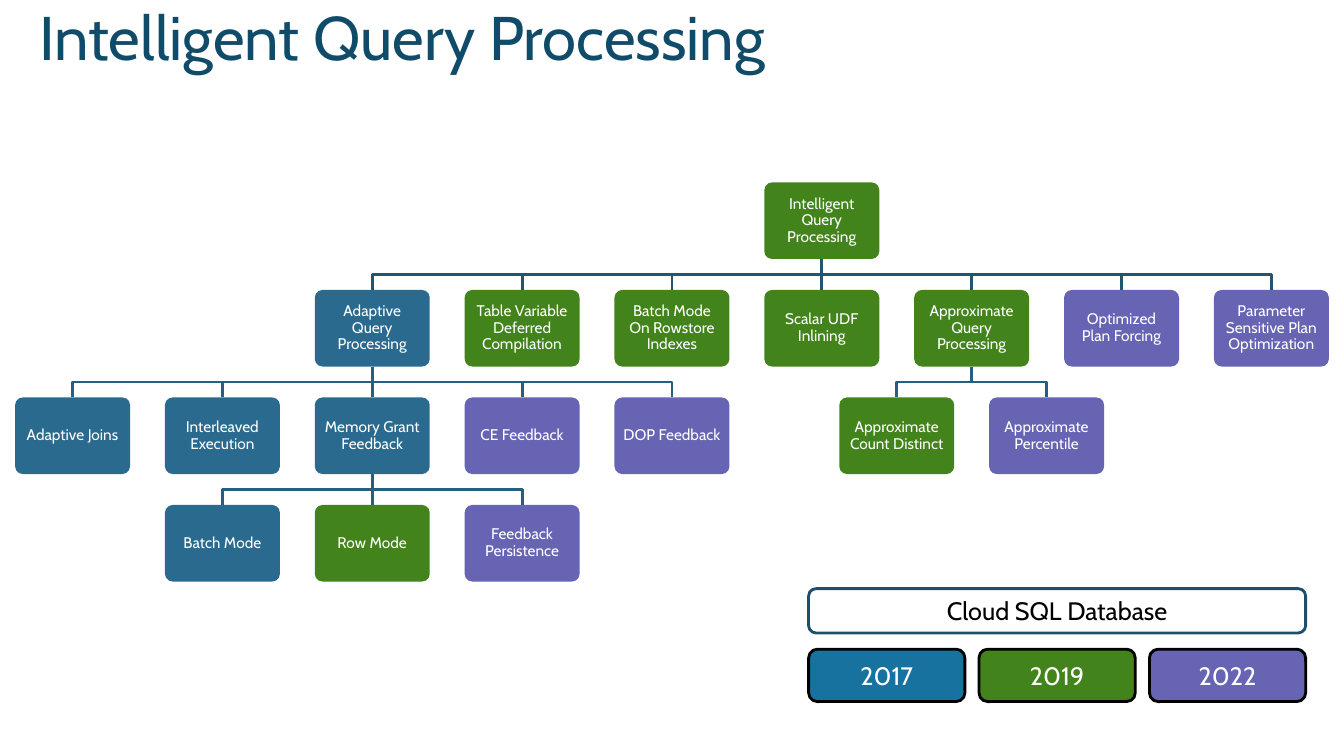
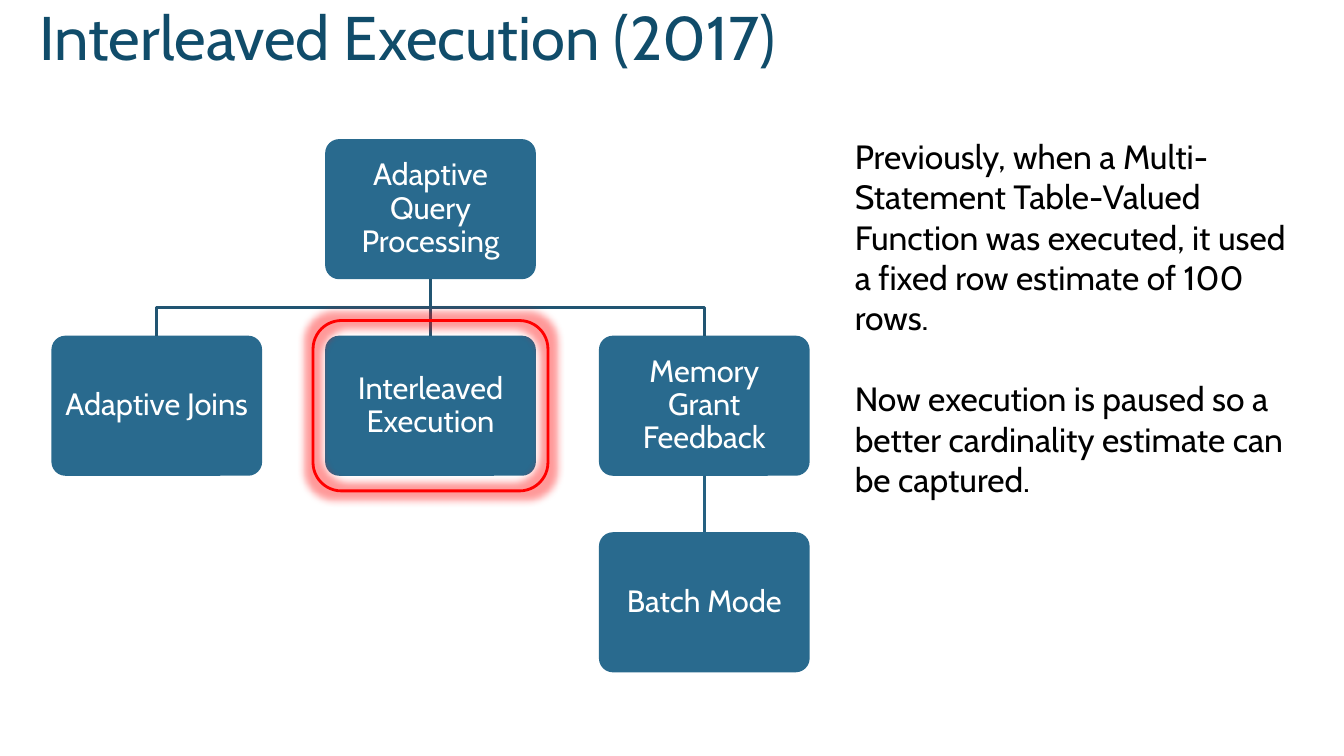
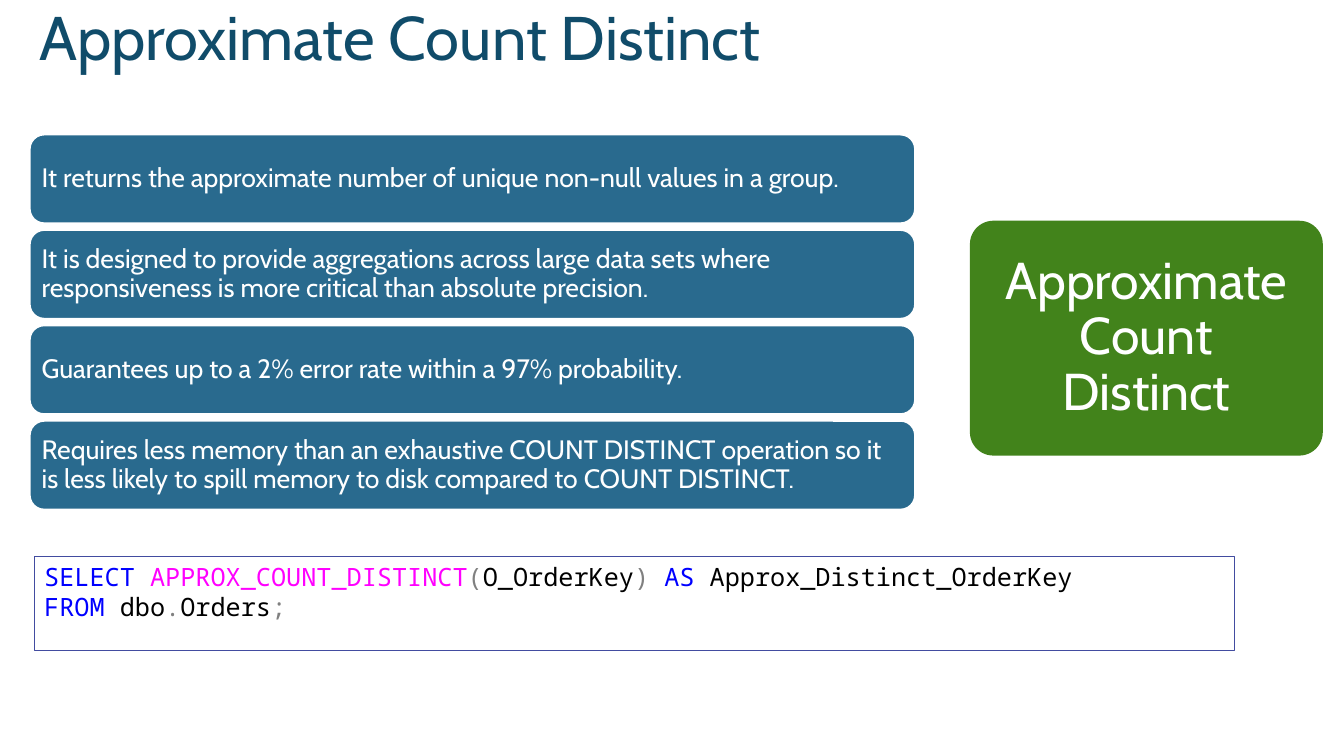
from dataclasses import dataclass
from typing import NamedTuple, Optional

from lxml import etree
from pptx import Presentation
from pptx import util as u
from pptx.dml.color import RGBColor
from pptx.enum import shapes, text
from pptx.oxml.ns import qn

COLOURS = {
    "title": "104C6A", "white": "FFFFFF", "black": "000000",
    "2017": "296A8E", "2019": "42831B", "2022": "6664B3",
    "legend 2017": "1872A0", "database": "1E4E69",
    "top link": "215572", "lower link": "256081",
    "highlight": "FF0000", "code frame": "424CA0",
    "keyword": "0000FF", "function": "FF00FF", "symbol": "808080",
}
FONT, CODE_FONT = "Cabin", "Noto Sans Mono"
LINE_WIDTH = 2
ROUNDED, RECTANGLE = shapes.MSO_SHAPE.ROUNDED_RECTANGLE, shapes.MSO_SHAPE.RECTANGLE
LEFT, CENTER = text.PP_ALIGN.LEFT, text.PP_ALIGN.CENTER


class Box(NamedTuple):
    """A rectangle in inches."""
    left: float
    top: float
    width: float
    height: float

    def emu(self) -> list:
        return [u.Inches(length) for length in self]

    def grown(self, across: float, down: float) -> "Box":
        return Box(self.left - across, self.top - down,
                   self.width + 2 * across, self.height + 2 * down)


@dataclass(frozen=True)
class Grid:
    """Equal cells spread evenly over an area."""
    area: Box
    columns: int
    rows: int
    cell_width: float
    cell_height: float

    def cell(self, column: float, row: float) -> Box:
        across = (self.area.width - self.cell_width) / max(1, self.columns - 1)
        down = (self.area.height - self.cell_height) / max(1, self.rows - 1)
        return Box(self.area.left + column * across, self.area.top + row * down,
                   self.cell_width, self.cell_height)


@dataclass(frozen=True)
class Node:
    label: str
    column: float
    row: int
    colour: str
    parent: Optional[str] = None


@dataclass(frozen=True)
class Label:
    """How the text of a box is set."""
    size: float
    inset: float = 0.1
    colour: str = "white"
    align: int = CENTER
    line_spacing: float = 1.0


FEATURE_GRID = Grid(Box(0.15, 1.81, 13.03, 3.96), 9, 4, 1.14, 0.76)
FEATURES = [
    Node("Intelligent Query Processing", 5, 0, "2019"),
    Node("Adaptive Query Processing", 2, 1, "2017", "Intelligent Query Processing"),
    Node("Table Variable Deferred Compilation", 3, 1, "2019", "Intelligent Query Processing"),
    Node("Batch Mode On Rowstore Indexes", 4, 1, "2019", "Intelligent Query Processing"),
    Node("Scalar UDF Inlining", 5, 1, "2019", "Intelligent Query Processing"),
    Node("Approximate Query Processing", 6, 1, "2019", "Intelligent Query Processing"),
    Node("Optimized Plan Forcing", 7, 1, "2022", "Intelligent Query Processing"),
    Node("Parameter Sensitive Plan Optimization", 8, 1, "2022", "Intelligent Query Processing"),
    Node("Adaptive Joins", 0, 2, "2017", "Adaptive Query Processing"),
    Node("Interleaved Execution", 1, 2, "2017", "Adaptive Query Processing"),
    Node("Memory Grant Feedback", 2, 2, "2017", "Adaptive Query Processing"),
    Node("CE Feedback", 3, 2, "2022", "Adaptive Query Processing"),
    Node("DOP Feedback", 4, 2, "2022", "Adaptive Query Processing"),
    Node("Approximate Count Distinct", 5.5, 2, "2019", "Approximate Query Processing"),
    Node("Approximate Percentile", 6.5, 2, "2022", "Approximate Query Processing"),
    Node("Batch Mode", 1, 3, "2017", "Memory Grant Feedback"),
    Node("Row Mode", 2, 3, "2019", "Memory Grant Feedback"),
    Node("Feedback Persistence", 3, 3, "2022", "Memory Grant Feedback"),
]
LEGEND_GRID = Grid(Box(8.02, 6.44, 4.93, 0.52), 3, 1, 1.55, 0.52)
LEGEND = [("2017", "legend 2017"), ("2019", "2019"), ("2022", "2022")]

ADAPTIVE_GRID = Grid(Box(0.51, 1.38, 7.52, 5.29), 3, 3, 2.09, 1.39)
ADAPTIVE = [
    Node("Adaptive Query Processing", 1, 0, "2017"),
    Node("Adaptive Joins", 0, 1, "2017", "Adaptive Query Processing"),
    Node("Interleaved Execution", 1, 1, "2017", "Adaptive Query Processing"),
    Node("Memory Grant Feedback", 2, 1, "2017", "Adaptive Query Processing"),
    Node("Batch Mode", 2, 2, "2017", "Memory Grant Feedback"),
]
EXPLANATION = [
    "Previously, when a Multi-Statement Table-Valued Function was executed, "
    "it used a fixed row estimate of 100 rows.",
    "Now execution is paused so a better cardinality estimate can be captured.",
]

FACT_GRID = Grid(Box(0.29, 1.33, 8.79, 3.73), 1, 4, 8.79, 0.89)
FACTS = [
    "It returns the approximate number of unique non-null values in a group.",
    "It is designed to provide aggregations across large data sets where "
    "responsiveness is more critical than absolute precision.",
    "Guarantees up to a 2% error rate within a 97% probability.",
    "Requires less memory than an exhaustive COUNT DISTINCT operation so it is "
    "less likely to spill memory to disk compared to COUNT DISTINCT.",
]
CODE = [
    [("SELECT ", "keyword"), ("APPROX_COUNT_DISTINCT", "function"), ("(", "symbol"),
     ("O_OrderKey", "black"), (") ", "symbol"), ("AS ", "keyword"),
     ("Approx_Distinct_OrderKey", "black")],
    [("FROM ", "keyword"), ("dbo", "black"), (".", "symbol"), ("Orders", "black"),
     (";", "symbol")],
]


def rgb(name: str) -> RGBColor:
    return RGBColor.from_string(COLOURS[name])


def set_font(paragraph, size: float, colour: str, name: str = FONT) -> None:
    paragraph.font.name = name
    paragraph.font.size = u.Pt(size)
    paragraph.font.color.rgb = rgb(colour)


def set_line(shape, colour: str, width: float = LINE_WIDTH) -> None:
    shape.line.color.rgb = rgb(colour)
    shape.line.width = u.Pt(width)


def add_titled_slide(presentation, heading: str):
    slide = presentation.slides.add_slide(presentation.slide_layouts[5])
    title = slide.shapes.title
    title.left, title.top, title.width, title.height = Box(0.29, 0.19, 12, 1.25).emu()
    frame = title.text_frame
    frame.text = heading
    frame.auto_size = text.MSO_AUTO_SIZE.NONE
    frame.vertical_anchor = text.MSO_ANCHOR.TOP
    paragraph = frame.paragraphs[0]
    paragraph.alignment = LEFT
    paragraph.line_spacing = u.Pt(35)
    set_font(paragraph, 44, "title")
    return slide


def add_box(slide, box: Box, fill: Optional[str] = None, line: Optional[str] = None,
            line_width: float = LINE_WIDTH, corner: Optional[float] = None,
            kind: int = ROUNDED):
    shape = slide.shapes.add_shape(kind, *box.emu())
    shape.shadow.inherit = False
    if corner is not None:
        shape.adjustments[0] = corner
    if fill:
        shape.fill.solid()
        shape.fill.fore_color.rgb = rgb(fill)
    else:
        shape.fill.background()
    if line:
        set_line(shape, line, line_width)
    else:
        shape.line.fill.background()
    return shape


def write_label(shape, words: str, label: Label) -> None:
    frame = shape.text_frame
    frame.word_wrap = True
    frame.vertical_anchor = text.MSO_ANCHOR.MIDDLE
    frame.margin_left = frame.margin_right = u.Inches(label.inset)
    frame.margin_top = frame.margin_bottom = u.Inches(min(label.inset, 0.05))
    paragraph = frame.paragraphs[0]
    paragraph.text = words
    paragraph.alignment = label.align
    paragraph.line_spacing = label.line_spacing
    set_font(paragraph, label.size, label.colour)


def add_link(slide, parent, child, colour: str) -> None:
    """Join two boxes: straight down, or with two bends halfway."""
    start_x, start_y = parent.left + parent.width // 2, parent.top + parent.height
    end_x, end_y = child.left + child.width // 2, child.top
    if abs(start_x - end_x) < u.Pt(1):
        link = slide.shapes.add_connector(
            shapes.MSO_CONNECTOR.STRAIGHT, start_x, start_y, end_x, end_y)
        link.begin_connect(parent, 2)
        link.end_connect(child, 0)
        set_line(link, colour)
        etree.SubElement(link._element.spPr, qn("a:effectLst"))
        return
    middle_y = (start_y + end_y) // 2
    builder = slide.shapes.build_freeform(start_x, start_y)
    builder.add_line_segments(
        [(start_x, middle_y), (end_x, middle_y), (end_x, end_y)], close=False)
    link = builder.convert_to_shape()
    link.shadow.inherit = False
    link.fill.background()
    set_line(link, colour)


def add_tree(slide, nodes: list[Node], grid: Grid, label: Label) -> None:
    """Draw the nodes, each parent before its children."""
    drawn = {}
    for node in nodes:
        shape = add_box(slide, grid.cell(node.column, node.row), node.colour, corner=0.1)
        write_label(shape, node.label, label)
        drawn[node.label] = shape
        if node.parent:
            colour = "top link" if node.row == 1 else "lower link"
            add_link(slide, drawn[node.parent], shape, colour)


def add_glow(shape, colour: str, radius: float, opacity: int) -> None:
    effects = shape._element.spPr.find(qn("a:effectLst"))
    glow = etree.SubElement(effects, qn("a:glow"), rad=str(u.Pt(radius)))
    tint = etree.SubElement(glow, qn("a:srgbClr"), val=COLOURS[colour])
    etree.SubElement(tint, qn("a:alpha"), val=str(opacity * 1000))


def add_explanation(slide) -> None:
    frame = slide.shapes.add_textbox(*Box(8.38, 1.3, 4.66, 3.74).emu()).text_frame
    frame.word_wrap = True
    for index, words in enumerate(EXPLANATION):
        paragraph = frame.add_paragraph() if index else frame.paragraphs[0]
        paragraph.text = words
        if index:
            paragraph.space_before = u.Pt(29)
        set_font(paragraph, 24, "black")


def add_code(slide) -> None:
    shape = add_box(slide, Box(0.34, 5.52, 11.9, 0.93), line="code frame",
                    line_width=0.75, kind=RECTANGLE)
    frame = shape.text_frame
    frame.word_wrap = True
    frame.vertical_anchor = text.MSO_ANCHOR.TOP
    for index, pieces in enumerate(CODE):
        paragraph = frame.add_paragraph() if index else frame.paragraphs[0]
        paragraph.alignment = LEFT
        set_font(paragraph, 18, "black", CODE_FONT)
        for words, colour in pieces:
            run = paragraph.add_run()
            run.text = words
            run.font.color.rgb = rgb(colour)


def build_overview(presentation) -> None:
    slide = add_titled_slide(presentation, "Intelligent Query Processing")
    add_tree(slide, FEATURES, FEATURE_GRID, Label(11, 0.05, line_spacing=0.9))
    database = add_box(slide, Box(8.02, 5.84, 4.93, 0.44), "white", "database")
    write_label(database, "Cloud SQL Database", Label(18, colour="black"))
    for column, (year, colour) in enumerate(LEGEND):
        shape = add_box(slide, LEGEND_GRID.cell(column, 0), colour, "black")
        write_label(shape, year, Label(18))


def build_interleaved(presentation) -> None:
    slide = add_titled_slide(presentation, "Interleaved Execution (2017)")
    add_tree(slide, ADAPTIVE, ADAPTIVE_GRID, Label(22, 0.09, line_spacing=0.9))
    add_explanation(slide)
    highlight = add_box(slide, ADAPTIVE_GRID.cell(1, 1).grown(0.12, 0.15), line="highlight")
    add_glow(highlight, "highlight", 11, 40)


def build_count_distinct(presentation) -> None:
    slide = add_titled_slide(presentation, "Approximate Count Distinct")
    feature = add_box(slide, Box(9.62, 2.19, 3.5, 2.33), "2019", corner=0.1)
    write_label(feature, "Approximate Count Distinct", Label(37, 0.15, line_spacing=0.9))
    add_code(slide)
    for row, fact in enumerate(FACTS):
        bar = add_box(slide, FACT_GRID.cell(0, row), "2017", "white")
        write_label(bar, fact, Label(19, 0.08, align=LEFT, line_spacing=0.9))


def main() -> None:
    presentation = Presentation()
    presentation.slide_width, presentation.slide_height = u.Inches(13.33), u.Inches(7.5)
    build_overview(presentation)
    build_interleaved(presentation)
    build_count_distinct(presentation)
    presentation.save("out.pptx")


if __name__ == "__main__":
    main()
